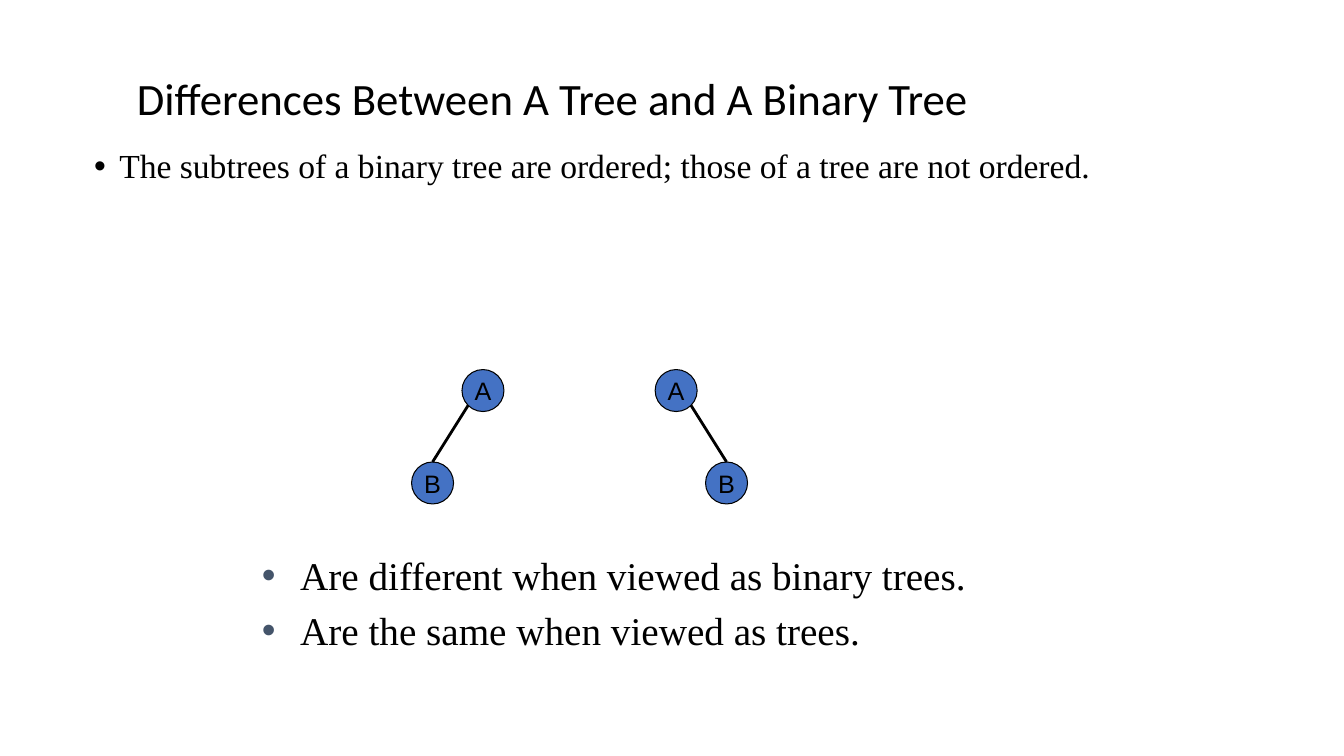
import math

import lxml.etree
import pptx
import pptx.dml.color
import pptx.enum.shapes
import pptx.enum.text
import pptx.oxml.ns
import pptx.util

CELL = pptx.util.Inches(1) / 12  # the slide is 160 columns by 90 rows
COLUMNS, ROWS = 160, 90
NODE_SIZE = 5
BLACK, NODE_BLUE, BULLET_SLATE = "000000", "4472C4", "44546A"


def cells(*counts):
    return [pptx.util.Emu(round(count * CELL)) for count in counts]


def color(hex_string):
    return pptx.dml.color.RGBColor.from_string(hex_string)


def place(shape, *box):
    shape.left, shape.top, shape.width, shape.height = cells(*box)


def format_paragraph(paragraph, font_name, size):
    paragraph.font.name = font_name
    paragraph.font.size = pptx.util.Pt(size)
    paragraph.font.color.rgb = color(BLACK)


def add_bullet(paragraph, indent, bullet_color):
    """Give the paragraph a round bullet with a hanging indent in inches."""
    properties = paragraph._p.get_or_add_pPr()
    properties.set("marL", str(pptx.util.Inches(indent)))
    properties.set("indent", str(-pptx.util.Inches(indent)))
    qn = pptx.oxml.ns.qn
    fill = lxml.etree.SubElement(properties, qn("a:buClr"))
    lxml.etree.SubElement(fill, qn("a:srgbClr"), val=bullet_color)
    lxml.etree.SubElement(properties, qn("a:buFont"), typeface="Arial")
    lxml.etree.SubElement(properties, qn("a:buChar"), char="•")


def write_list(shape, items, size, indent, bullet_color, line_spacing):
    frame = shape.text_frame
    frame.word_wrap = True
    frame.auto_size = pptx.enum.text.MSO_AUTO_SIZE.NONE
    frame.text = "\n".join(items)
    for index, paragraph in enumerate(frame.paragraphs):
        add_bullet(paragraph, indent, bullet_color)
        paragraph.line_spacing = line_spacing
        paragraph.space_before = pptx.util.Pt(6 if index else 0)
        format_paragraph(paragraph, "Times New Roman", size)


def write_title(title, text):
    place(title, 15.1, 6, 125, 12)
    frame = title.text_frame
    frame.text = text
    frame.auto_size = pptx.enum.text.MSO_AUTO_SIZE.NONE
    frame.vertical_anchor = pptx.enum.text.MSO_ANCHOR.MIDDLE
    paragraph = frame.paragraphs[0]
    paragraph.alignment = pptx.enum.text.PP_ALIGN.LEFT
    paragraph.line_spacing = 0.9
    format_paragraph(paragraph, "Calibri", 32)


def add_node(group, label, column, row):
    node = group.shapes.add_shape(
        pptx.enum.shapes.MSO_SHAPE.OVAL, *cells(column, row, NODE_SIZE, NODE_SIZE))
    node.shadow.inherit = False
    node.fill.solid()
    node.fill.fore_color.rgb = color(NODE_BLUE)
    node.line.color.rgb = color(BLACK)
    node.line.width = pptx.util.Pt(0.75)
    frame = node.text_frame
    frame.word_wrap = False
    frame.vertical_anchor = pptx.enum.text.MSO_ANCHOR.MIDDLE
    frame.text = label
    frame.paragraphs[0].alignment = pptx.enum.text.PP_ALIGN.CENTER
    format_paragraph(frame.paragraphs[0], "Arial", 18)


def add_edge(group, start, end):
    edge = group.shapes.add_connector(
        pptx.enum.shapes.MSO_CONNECTOR.STRAIGHT, *cells(*start, *end))
    edge.line.color.rgb = color(BLACK)
    edge.line.width = pptx.util.Pt(2)
    lxml.etree.SubElement(edge._element.spPr, pptx.oxml.ns.qn("a:effectLst"))


def add_tree(slide, root_column, child_column):
    """Draw root A and its child B, joined from A's lower diagonal to B's top."""
    root_row, child_row = 44, 55
    group = slide.shapes.add_group_shape()
    add_node(group, "A", root_column, root_row)
    add_node(group, "B", child_column, child_row)
    radius = NODE_SIZE / 2
    diagonal = radius * math.sqrt(0.5)
    side = math.copysign(diagonal, child_column - root_column)
    add_edge(group,
             (root_column + radius + side, root_row + radius + diagonal),
             (child_column + radius, child_row))


def main():
    presentation = pptx.Presentation()
    presentation.slide_width, presentation.slide_height = cells(COLUMNS, ROWS)
    slide = presentation.slides.add_slide(presentation.slide_layouts[1])

    write_title(slide.shapes.title, "Differences Between A Tree and A Binary Tree")
    body = slide.placeholders[1]
    place(body, 10, 17.2, 141.8, 16)
    write_list(
        body,
        ["The subtrees of a binary tree are ordered; those of a tree are not ordered."],
        size=24, indent=0.25, bullet_color=BLACK, line_spacing=0.9)

    conclusions = slide.shapes.add_textbox(*cells(30, 65, 102, 16))
    write_list(
        conclusions,
        ["Are different when viewed as binary trees.",
         "Are the same when viewed as trees."],
        size=28, indent=0.38, bullet_color=BULLET_SLATE, line_spacing=1.0)

    add_tree(slide, root_column=55, child_column=49)
    add_tree(slide, root_column=78, child_column=84)
    presentation.save("out.pptx")


if __name__ == "__main__":
    main()
